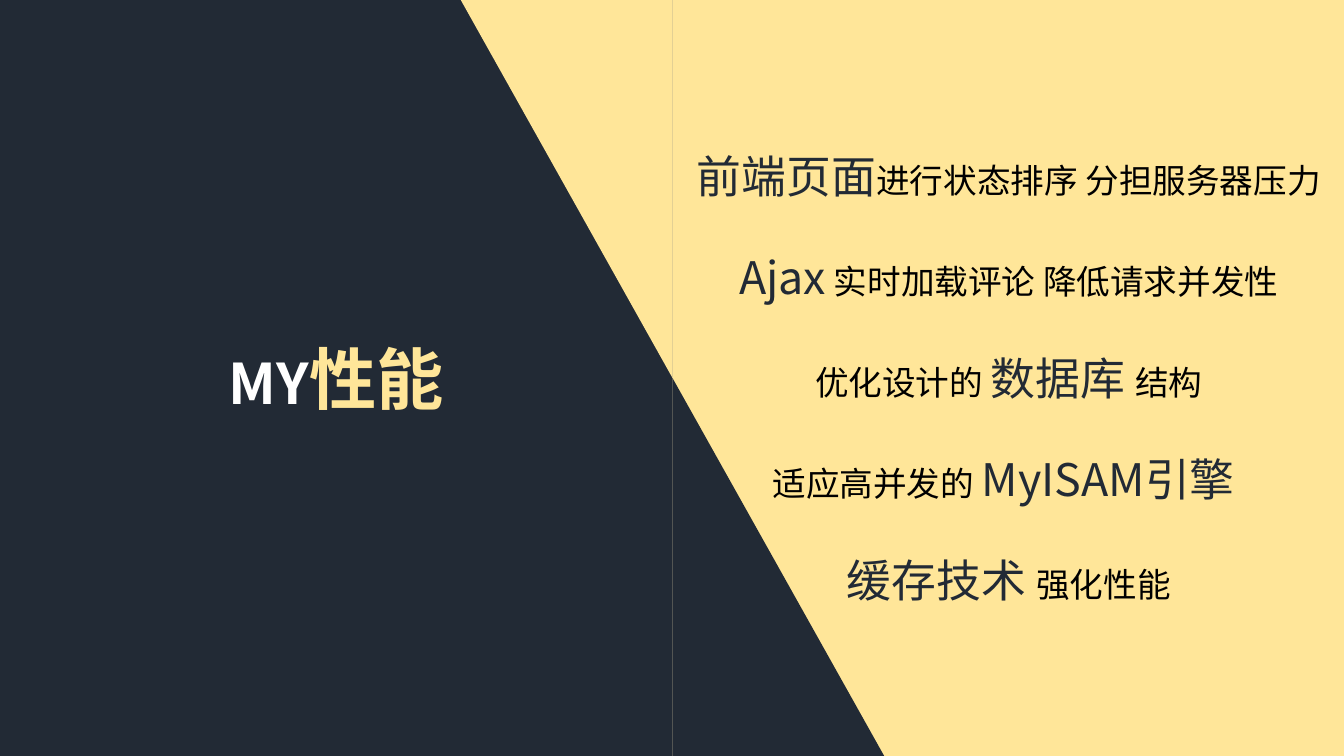
from pptx import Presentation
from pptx.dml.color import RGBColor
from pptx.enum.shapes import MSO_SHAPE
from pptx.enum.text import MSO_AUTO_SIZE, PP_ALIGN
from pptx.oxml.ns import qn
from pptx.util import Inches, Pt
from lxml import etree

RECT = MSO_SHAPE.RECTANGLE
WEDGE = MSO_SHAPE.RIGHT_TRIANGLE
CENTER = PP_ALIGN.CENTER
GROW = MSO_AUTO_SIZE.SHAPE_TO_FIT_TEXT


class Theme:
    font = "Noto Sans CJK SC"
    navy = RGBColor.from_string("222A35")
    sand = RGBColor.from_string("FFE699")
    white = RGBColor.from_string("FFFFFF")
    black = RGBColor.from_string("000000")
    body, key, label, title = Pt(24), Pt(32), Pt(40), Pt(48)


plain = {"size": Theme.body, "color": Theme.black}
strong = {"size": Theme.key, "color": Theme.navy}
space = {"size": Theme.body, "color": Theme.navy}
label = {"size": Theme.label, "color": Theme.white, "bold": True}
title = {"size": Theme.title, "color": Theme.sand, "bold": True}

deck = Presentation()
deck.slide_width = Inches(13.33)
deck.slide_height = Inches(7.5)
slide = deck.slides.add_slide(deck.slide_layouts[6])

half, tall, slant = 6.67, 7.5, 2.1


def add_text(left, top, width, height, runs):
    box = slide.shapes.add_textbox(
        Inches(left), Inches(top), Inches(width), Inches(height))
    frame = box.text_frame
    frame.word_wrap = True
    frame.auto_size = GROW
    line = frame.paragraphs[0]
    line.alignment = CENTER
    for text, style in runs:
        run = line.add_run()
        run.text = text
        font = run.font
        font.name = Theme.font
        for name, value in style.items():
            if name == "color":
                font.color.rgb = value
            else:
                setattr(font, name, value)
        east = etree.SubElement(run._r.get_or_add_rPr(), qn("a:ea"))
        east.set("typeface", Theme.font)


panels = [
    (RECT, half, 0, half, tall, 0, Theme.sand),
    (RECT, 0, 0, half, tall, 0, Theme.navy),
    (WEDGE, half - slant, 0, slant, tall / 2, 180, Theme.sand),
    (WEDGE, half, tall / 2, slant, tall / 2, 0, Theme.navy),
]
for kind, left, top, width, height, turn, color in panels:
    panel = slide.shapes.add_shape(
        kind, Inches(left), Inches(top), Inches(width), Inches(height))
    panel.rotation = turn
    panel.shadow.inherit = False
    panel.fill.solid()
    panel.fill.fore_color.rgb = color
    panel.line.fill.background()

add_text(0, 3.3, half, 0.91, [("MY", label), ("性能", title)])

points = [
    [("前端页面", strong), ("进行状态排序 分担服务器压力", plain)],
    [("Ajax", strong), (" ", space), ("实时加载评论 降低请求并发性", plain)],
    [("优化设计的 ", plain), ("数据库 ", strong), ("结构", plain)],
    [("适应高并发的 ", plain), ("MyISAM引擎 ", strong)],
    [("缓存技术 ", strong), ("强化性能", plain)],
]
for row, runs in enumerate(points):
    add_text(6.68, 1.43 + row, 6.65, 0.64, runs)

deck.save("out.pptx")
